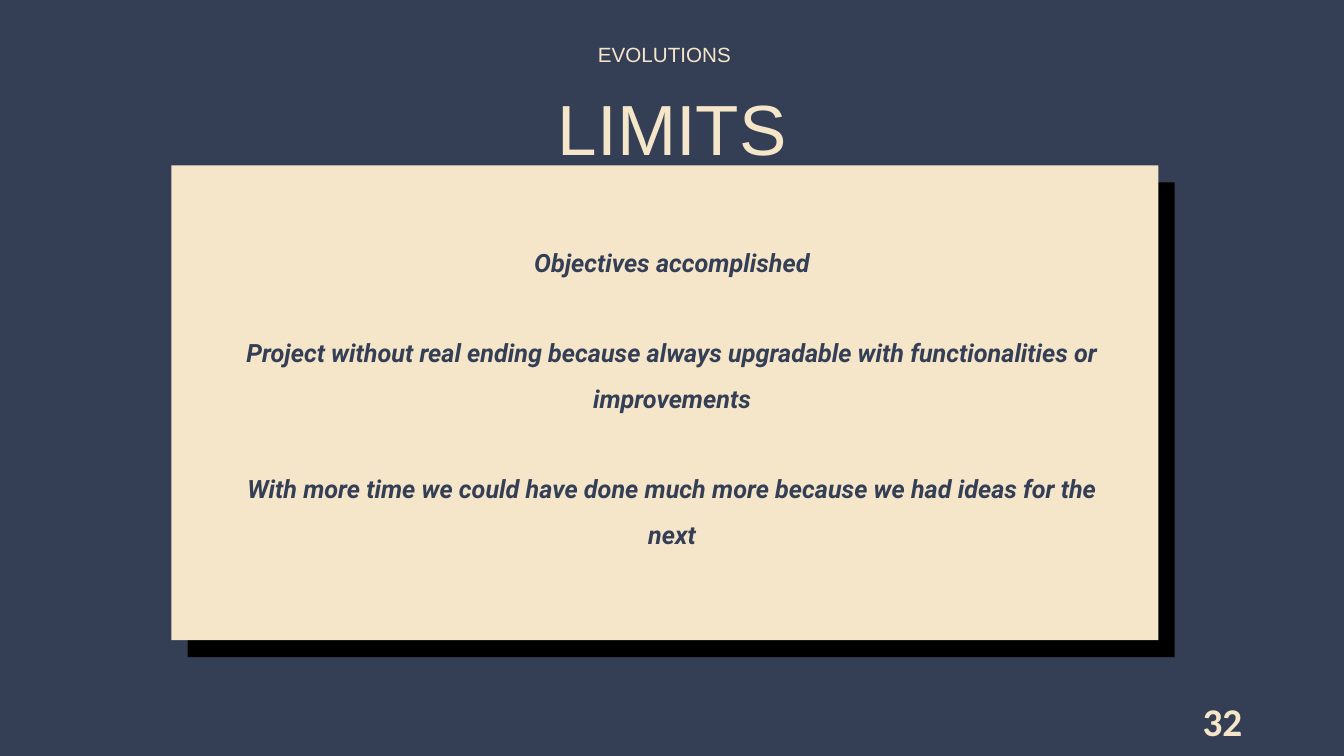
import pptx
import pptx.util
import pptx.dml.color
import pptx.enum.shapes
import pptx.enum.text

Inches = pptx.util.Inches
Pt = pptx.util.Pt
ALIGN = pptx.enum.text.PP_ALIGN
ANCHOR = pptx.enum.text.MSO_ANCHOR

COLORS = {"navy": "343F56", "cream": "F5E6CA", "black": "000000"}
LIMITS = [
    "Objectives accomplished",
    "Project without real ending because always upgradable with functionalities or improvements",
    "With more time we could have done much more because we had ideas for the next",
]


def rgb(name):
    return pptx.dml.color.RGBColor.from_string(COLORS[name])


def add_panel(s, left, top, color):
    sp = s.shapes.add_shape(pptx.enum.shapes.MSO_SHAPE.RECTANGLE,
                            Inches(left), Inches(top), Inches(9.79), Inches(4.71))
    sp.shadow.inherit = False
    sp.fill.solid()
    sp.fill.fore_color.rgb = rgb(color)
    sp.line.fill.background()


def add_text(s, box, lines, font, size, color="cream", bold=False, italic=False,
             align=ALIGN.CENTER, spacing=1.0, gap=0, inset=True, anchor=ANCHOR.TOP):
    tf = s.shapes.add_textbox(*map(Inches, box)).text_frame
    tf.word_wrap = True
    tf.vertical_anchor = anchor
    if not inset:
        tf.margin_left = tf.margin_right = tf.margin_top = tf.margin_bottom = 0
    for i, line in enumerate(lines):
        p = tf.add_paragraph() if i else tf.paragraphs[0]
        p.text = line
        p.alignment = align
        p.line_spacing = spacing
        if i:
            p.space_before = Pt(gap)
        r = p.runs[0]
        r.font.name = font
        r.font.size = Pt(size)
        r.font.bold = bold
        r.font.italic = italic
        r.font.color.rgb = rgb(color)


def main():
    prs = pptx.Presentation()
    prs.slide_width = Inches(13.33)
    prs.slide_height = Inches(7.5)
    s = prs.slides.add_slide(prs.slide_layouts[6])
    s.background.fill.solid()
    s.background.fill.fore_color.rgb = rgb("navy")

    add_text(s, (9.42, 6.95, 3, 0.4), ["32"], "Calibri", 28, bold=True,
             align=ALIGN.RIGHT, anchor=ANCHOR.MIDDLE)
    add_text(s, (2.02, 0.5, 9.3, 0.84), ["LIMITS"], "Arial", 50.7, spacing=1.4, inset=False)
    add_text(s, (5.02, 0.32, 3.14, 0.25), ["EVOLUTIONS"], "Arial", 14.7, spacing=1.4, inset=False)
    add_panel(s, 1.86, 1.81, "black")
    add_panel(s, 1.7, 1.64, "cream")
    add_text(s, (2.17, 2.25, 8.99, 3.23), LIMITS, "Roboto", 18, "navy",
             bold=True, italic=True, spacing=1.5, gap=32.4)
    prs.save("out.pptx")


if __name__ == "__main__":
    main()
